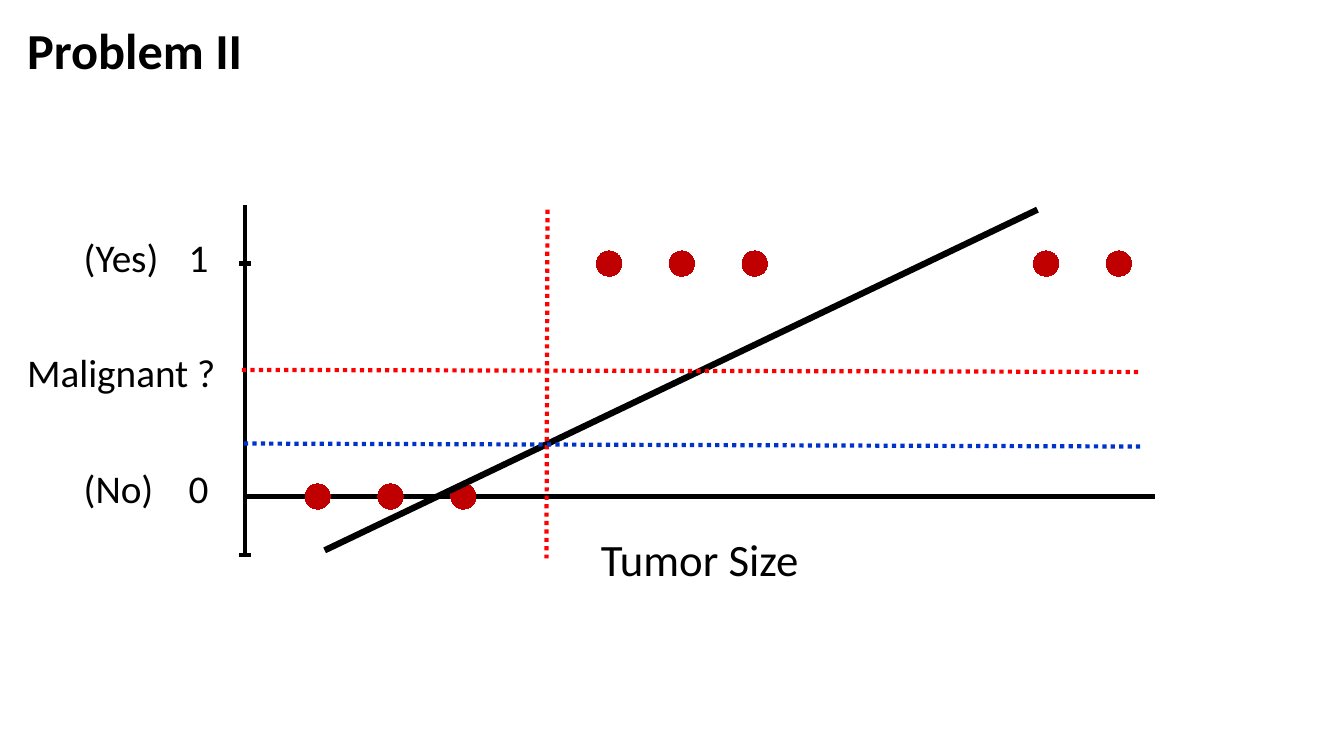
from lxml import etree
from pptx import Presentation
from pptx.chart.data import XyChartData
from pptx.dml.color import RGBColor
from pptx.enum.chart import XL_CHART_TYPE, XL_MARKER_STYLE, XL_TICK_LABEL_POSITION, XL_TICK_MARK
from pptx.enum.dml import MSO_LINE
from pptx.enum.shapes import MSO_CONNECTOR
from pptx.enum.text import MSO_ANCHOR
from pptx.oxml import parse_xml
from pptx.oxml.ns import nsdecls, qn
from pptx.util import Inches, Pt

SCATTER = XL_CHART_TYPE.XY_SCATTER
CIRCLE = XL_MARKER_STYLE.CIRCLE
NO_LABELS = XL_TICK_LABEL_POSITION.NONE
NO_TICK, CROSS_TICK = XL_TICK_MARK.NONE, XL_TICK_MARK.CROSS
STRAIGHT, DOTTED = MSO_CONNECTOR.STRAIGHT, MSO_LINE.ROUND_DOT
TOP = MSO_ANCHOR.TOP

# Content
FONT = "Calibri"
BLACK, DARK_RED, RED, BLUE = "000000", "C00000", "FF0000", "0033CC"
BENIGN_SIZES = [0.2, 0.4, 0.6]
MALIGNANT_SIZES = [1, 1.2, 1.4, 2.2, 2.4]
CHART_BOX = (2.12, 1.73, 9.36, 5.04)
PLOT_SHARES = {"x": 0.033, "y": 0.061, "w": 0.967, "h": 0.688}
TAB_STOP = 1.04

# text, box, size, bold, inset left and right, inset top and bottom
TEXTS = [
    ("(Yes)\t1", (0.83, 2.31, 1.4, 0.47), 28, False, 0, 0),
    ("Tumor Size", (5.96, 5.28, 2.1, 0.54), 32, False, 0, 0),
    ("(No)\t0", (0.83, 4.61, 1.4, 0.47), 28, False, 0, 0),
    ("Malignant ?", (0.17, 3.41, 2.09, 0.57), 28, False, 0.1, 0.05),
    ("Problem II", (0.17, 0.21, 12.74, 1), 36, True, 0.1, 0.05),
]
# start, end, colour, width, dash
LINES = [
    ((3.22, 5.46), (10.29, 2.08), BLACK, 4.5, None),
    ((5.43, 2.08), (5.42, 5.54), RED, 3, DOTTED),
    ((2.4, 3.67), (11.29, 3.69), RED, 3, DOTTED),
    ((2.42, 4.4), (11.31, 4.43), BLUE, 3, DOTTED),
]


def color(value):
    return RGBColor.from_string(value)


def inches(values):
    return [Inches(value) for value in values]


def style_axis(axis, low, high, step, tick):
    axis.minimum_scale, axis.maximum_scale, axis.major_unit = low, high, step
    axis.has_major_gridlines = False
    axis.tick_label_position = NO_LABELS
    axis.major_tick_mark, axis.minor_tick_mark = tick, NO_TICK
    axis.format.line.color.rgb = color(BLACK)
    axis.format.line.width = Pt(3)


def add_tumor_chart(page):
    data = XyChartData()
    points = data.add_series("Series 1")
    for level, sizes in ((0, BENIGN_SIZES), (100, MALIGNANT_SIZES)):
        for size in sizes:
            points.add_data_point(size, level)
    chart = page.shapes.add_chart(SCATTER, *inches(CHART_BOX), data).chart
    chart.has_legend = chart.has_title = False
    chart.font.name, chart.font.size = FONT, Pt(10)
    chart.font.color.rgb = color(BLACK)
    style_axis(chart.category_axis, 0, 2.5, 0.5, NO_TICK)
    style_axis(chart.value_axis, -25, 125, 125, CROSS_TICK)

    plot = chart.plots[0]
    plot.vary_by_categories = False
    series = plot.series[0]
    series.smooth = False
    series.format.line.fill.background()
    marker = series.marker
    marker.style, marker.size = CIRCLE, 18
    marker.format.fill.solid()
    marker.format.fill.fore_color.rgb = color(DARK_RED)
    marker.format.line.color.rgb = color(DARK_RED)

    # Fixed inner plot area
    area = chart.element.find(".//" + qn("c:plotArea"))
    for old in area.findall(qn("c:layout")):
        area.remove(old)
    modes = "".join(f'<c:{key}Mode val="edge"/>' for key in "xy")
    shares = "".join(f'<c:{key} val="{share}"/>' for key, share in PLOT_SHARES.items())
    area.insert(0, parse_xml(
        f'<c:layout {nsdecls("c")}><c:manualLayout><c:layoutTarget val="inner"/>'
        f'{modes}{shares}</c:manualLayout></c:layout>'))


def add_text(page, text, place, size, bold, side, edge):
    frame = page.shapes.add_textbox(*inches(place)).text_frame
    frame.word_wrap = True
    frame.vertical_anchor = TOP
    frame.margin_left = frame.margin_right = Inches(side)
    frame.margin_top = frame.margin_bottom = Inches(edge)
    frame.text = text
    para = frame.paragraphs[0]
    if bold:
        para.line_spacing = 0.9
    if "\t" in text:
        stops = etree.SubElement(para._p.get_or_add_pPr(), qn("a:tabLst"))
        etree.SubElement(stops, qn("a:tab"), pos=str(Inches(TAB_STOP)), algn="l")
    for span in para.runs:
        span.font.name, span.font.size, span.font.bold = FONT, Pt(size), bold
        span.font.color.rgb = color(BLACK)


def add_line(page, start, end, shade, width, dash):
    line = page.shapes.add_connector(STRAIGHT, *inches(start + end))
    line.line.color.rgb = color(shade)
    line.line.width = Pt(width)
    if dash:
        line.line.dash_style = dash
    etree.SubElement(line._element.spPr, qn("a:effectLst"))


def main():
    deck = Presentation()
    deck.slide_width, deck.slide_height = inches((13.33, 7.5))
    page = deck.slides.add_slide(deck.slide_layouts[6])
    add_tumor_chart(page)
    for text in TEXTS:
        add_text(page, *text)
    for line in LINES:
        add_line(page, *line)
    deck.save("out.pptx")


if __name__ == "__main__":
    main()
